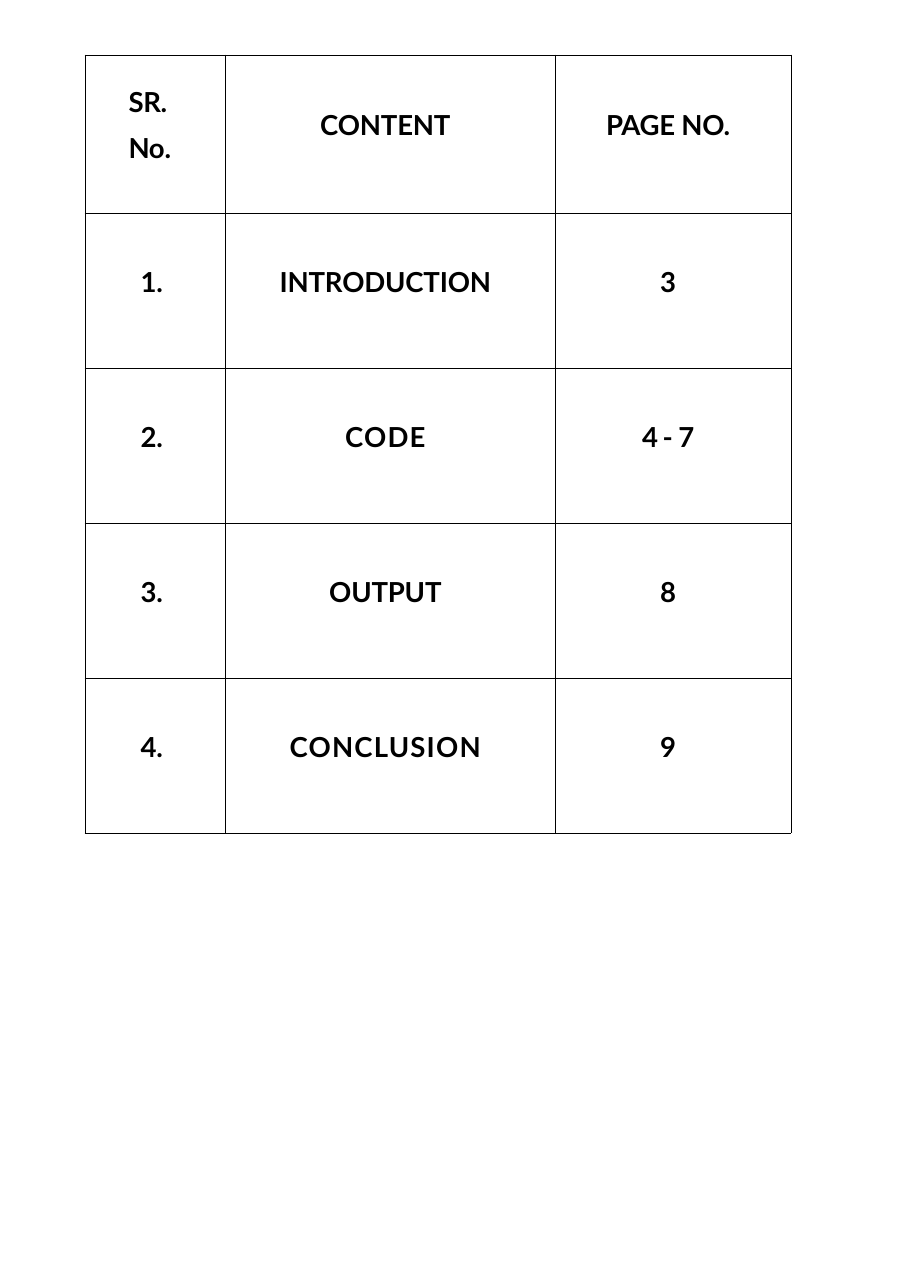
"""Build a one-page table of contents."""
import lxml.etree
import pptx
import pptx.dml.color
import pptx.enum.text
import pptx.oxml.ns
import pptx.util

Pt = pptx.util.Pt
ALIGN = pptx.enum.text.PP_ALIGN
HEADERS = [[("SR.", -0.2)], [("CONTENT", -0.1)], [("PAGE NO.", -0.2)]]
ENTRIES = [
    [[("1.", -0.2)], [("INTRODUCTION", -0.1)], [("3", -0.5)]],
    [[("2.", -0.2)], [("CODE", 0.8)], [("4 ", -1.4), ("- ", -0.8), ("7", -0.6)]],
    [[("3.", -0.2)], [("OUTPUT", -0.1)], [("8", -0.5)]],
    [[("4.", -0.2)], [("CONCLUSION", 0.8)], [("9", -0.5)]],
]
COLUMN_WIDTHS = [91.8, 215.6, 154.1]
RIGHT_MARGINS = [4.5, 6.5, 6.5]


def color(value):
    """Return the colour for a hex string."""
    return pptx.dml.color.RGBColor.from_string(value)


def add_runs(p, runs, align):
    """Add bold runs, each with its letter spacing, to a paragraph."""
    p.alignment = align
    for text, spacing in runs:
        r = p.add_run()
        r.text = text
        r.font.name = "Lato"
        r.font.size = Pt(18)
        r.font.bold = True
        r.font.color.rgb = color("000000")
        r._r.get_or_add_rPr().set("spc", str(round(spacing * 100)))


def style_cell(cell, left, top, right):
    """Give a cell its margins, thin black borders and no fill."""
    cell.margin_left, cell.margin_top = Pt(left), Pt(top)
    cell.margin_right, cell.margin_bottom = Pt(right), Pt(0)
    tcPr = cell._tc.get_or_add_tcPr()
    qn = pptx.oxml.ns.qn
    for side in "LRTB":
        ln = lxml.etree.SubElement(tcPr, qn(f"a:ln{side}"), w=str(Pt(0.5)))
        fill = lxml.etree.SubElement(ln, qn("a:solidFill"))
        lxml.etree.SubElement(fill, qn("a:srgbClr"), val="000000")
    cell.fill.background()


def add_contents(s, left, top, width, height):
    """Add the contents table to the given box."""
    rows = [HEADERS] + ENTRIES
    table = s.shapes.add_table(len(rows), len(HEADERS), Pt(left), Pt(top),
                               Pt(width), Pt(height)).table
    table.first_row = table.horz_banding = False
    for column, share in zip(table.columns, COLUMN_WIDTHS):
        column.width = Pt(width * share / sum(COLUMN_WIDTHS))
    header_height = 103.3
    for i, row in enumerate(rows):
        entry_height = (height - header_height) / len(ENTRIES)
        table.rows[i].height = Pt(entry_height if i else header_height)
        for j, runs in enumerate(row):
            cell = table.cell(i, j)
            tf = cell.text_frame
            if i == j == 0:
                style_cell(cell, 28.5, 20, 0)
                add_runs(tf.paragraphs[0], runs, ALIGN.LEFT)
                p = tf.add_paragraph()
                p.space_before = Pt(8.4)
                add_runs(p, [("No.", -0.2)], ALIGN.LEFT)
            else:
                style_cell(cell, 0, 34 if i else 35, RIGHT_MARGINS[j])
                add_runs(tf.paragraphs[0], runs, ALIGN.CENTER)


def main():
    """Create and save the presentation."""
    prs = pptx.Presentation()
    prs.slide_width, prs.slide_height = Pt(594.72), Pt(841.68)
    s = prs.slides.add_slide(prs.slide_layouts[6])
    add_contents(s, 55.5, 36, 461.5, 508.5)
    prs.save("out.pptx")


if __name__ == "__main__":
    main()
